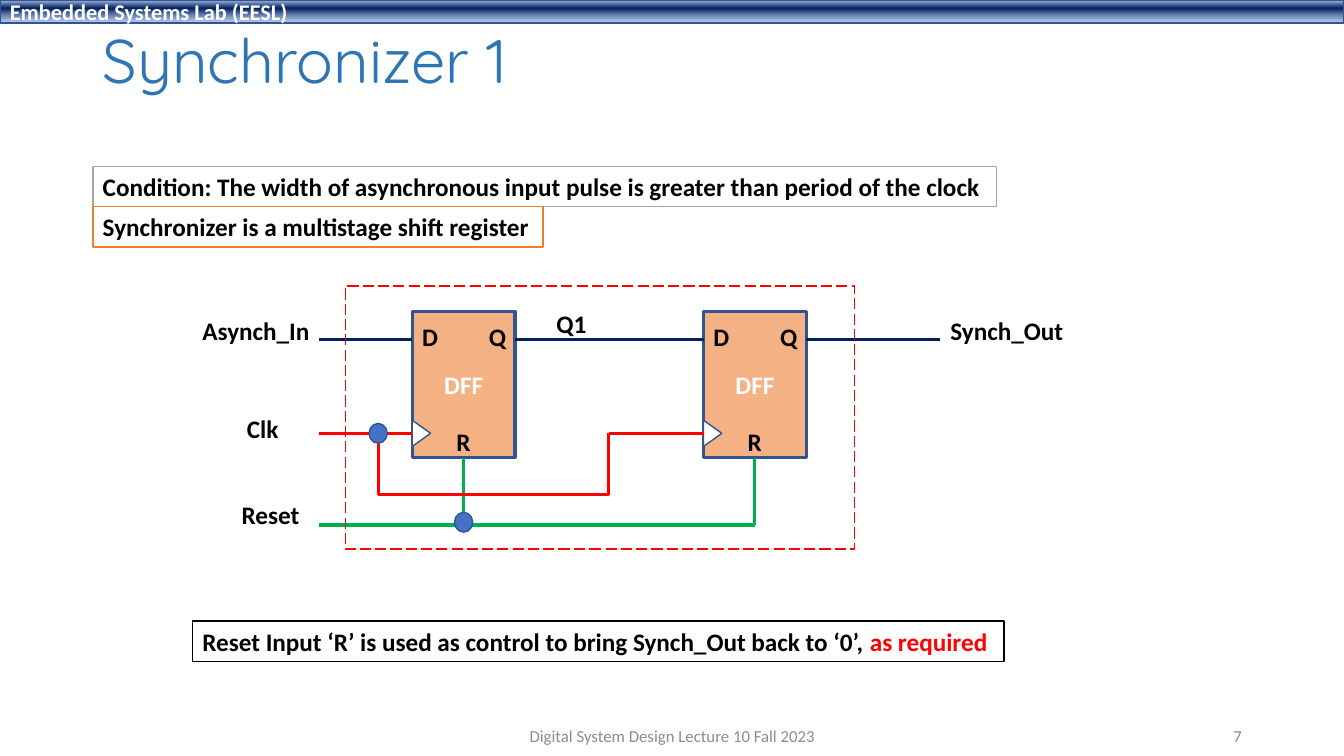
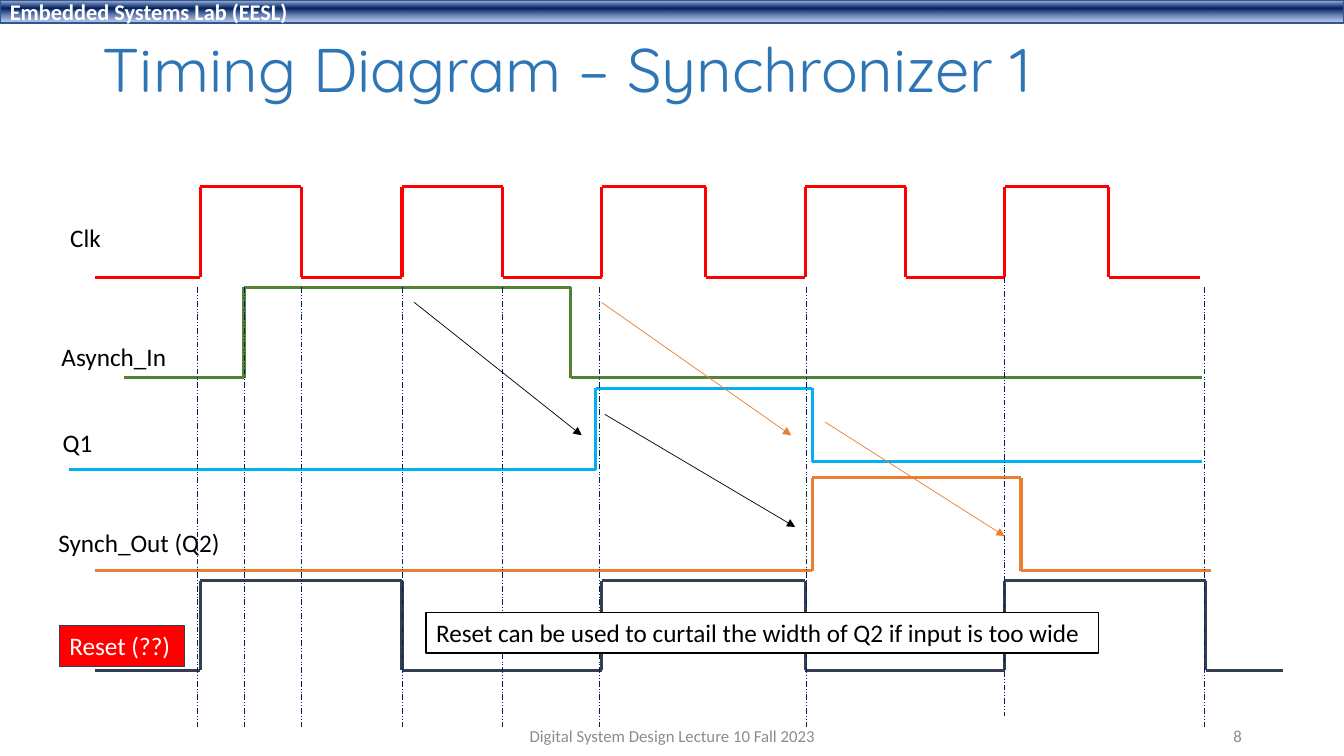
from dataclasses import dataclass
from itertools import cycle, pairwise

from lxml.etree import SubElement
from pptx import Presentation
from pptx.dml.color import RGBColor
from pptx.enum.dml import MSO_LINE
from pptx.enum.shapes import MSO_CONNECTOR, MSO_SHAPE
from pptx.enum.text import MSO_ANCHOR, PP_ALIGN
from pptx.oxml.ns import qn
from pptx.util import Cm, Pt


@dataclass(frozen=True)
class Theme:
    body_font: str = "Calibri"
    title_font: str = "Quicksand"
    title_size: int = 44
    band_size: int = 16
    body_size: int = 18
    footer_size: int = 12
    thick: float = 2.25
    thin: float = 0.5
    title: str = "2E75B6"
    footer: str = "8C8C8C"
    black: str = "000000"
    white: str = "FFFFFF"
    red: str = "FF0000"
    navy: str = "002060"
    outline: str = "325491"
    blue: str = "4472C4"
    gray: str = "A5A5A5"
    orange: str = "ED7D31"
    peach: str = "F4B183"
    reset_green: str = "00B050"
    input_green: str = "548235"
    sky: str = "00B0F0"
    slate: str = "333F50"
    band_stops: tuple = ((2, "ABC0E4", 100), (38, "002060", 100), (93, "7E9ED6", 64))


T = Theme()


def add_box(s, x, y, w, h, text="", kind=None, fill=None, line=None, width=1,
            color=T.black, size=T.body_size, bold=False, font=T.body_font,
            align=PP_ALIGN.LEFT, anchor=MSO_ANCHOR.TOP):
    at = Cm(x), Cm(y), Cm(w), Cm(h)
    sp = s.shapes.add_shape(kind, *at) if kind else s.shapes.add_textbox(*at)
    sp.shadow.inherit = False
    if fill:
        sp.fill.solid()
        sp.fill.fore_color.rgb = RGBColor.from_string(fill)
    else:
        sp.fill.background()
    if line:
        sp.line.color.rgb = RGBColor.from_string(line)
        sp.line.width = Pt(width)
    else:
        sp.line.fill.background()
    if text:
        tf = sp.text_frame
        tf.word_wrap = True
        tf.vertical_anchor = anchor
        p = tf.paragraphs[0]
        p.text = text
        p.alignment = align
        p.font.name = font
        p.font.size = Pt(size)
        p.font.bold = bold
        p.font.color.rgb = RGBColor.from_string(color)
    return sp


def add_path(s, points, color, width=T.thick, dash=None, arrow=False):
    for (x1, y1), (x2, y2) in pairwise(points):
        c = s.shapes.add_connector(MSO_CONNECTOR.STRAIGHT, Cm(x1), Cm(y1), Cm(x2), Cm(y2))
        c.line.color.rgb = RGBColor.from_string(color)
        c.line.width = Pt(width)
        if dash:
            c.line.dash_style = dash
        if arrow:
            SubElement(c.element.spPr.find(qn("a:ln")), qn("a:tailEnd"), type="triangle")
        SubElement(c.element.spPr, qn("a:effectLst"))


prs = Presentation()
prs.slide_width, prs.slide_height = Cm(33.87), Cm(19.05)
RECT = MSO_SHAPE.RECTANGLE
MIDDLE = MSO_ANCHOR.MIDDLE
ROW = 1.02

slides = []
for number, title, title_h in ((7, "Synchronizer 1", 2.46),
                               (8, "Timing Diagram – Synchronizer 1", 2.9)):
    s = prs.slides.add_slide(prs.slide_layouts[6])
    band = add_box(s, 0, 0, 33.87, 0.58, "Embedded Systems Lab (EESL)", RECT,
                   line=T.outline, color=T.white, size=T.band_size, bold=True, anchor=MIDDLE)
    band.fill.gradient()
    band.fill.gradient_angle = 270
    stops = band.element.spPr.find(qn("a:gradFill")).find(qn("a:gsLst"))
    for stop in list(stops):
        stops.remove(stop)
    for pos, color, alpha in T.band_stops:
        gs = SubElement(stops, qn("a:gs"), pos=str(pos * 1000))
        clr = SubElement(gs, qn("a:srgbClr"), val=color)
        SubElement(clr, qn("a:alpha"), val=str(alpha * 1000))
    sp = add_box(s, 2.34, 0.38, 29.21, title_h, title, color=T.title,
                 size=T.title_size, font=T.title_font, anchor=MIDDLE)
    sp.text_frame.paragraphs[0].line_spacing = 0.9
    for x, w, text, align in (
            (11.23, 11.43, "Digital System Design Lecture 10 Fall 2023", PP_ALIGN.CENTER),
            (23.93, 7.62, str(number), PP_ALIGN.RIGHT)):
        add_box(s, x, 18.02, w, ROW, text, color=T.footer, size=T.footer_size,
                align=align, anchor=MIDDLE)
    slides.append(s)
circuit, timing = slides

for y, w, line, text in (
        (4.19, 22.78, T.gray,
         "Condition: The width of asynchronous input pulse is greater than period of the clock"),
        (5.21, 11.35, T.orange, "Synchronizer is a multistage shift register")):
    add_box(circuit, 2.34, y, w, ROW, text, RECT, T.white, line, bold=True)

DATA_Y, CLK_Y, LOOP_Y, RESET_Y = 8.56, 10.92, 12.47, 13.23
FF_TOP, FF_W, FF_H = 7.85, 2.59, 3.68
FF1, FF2 = 10.39, 17.73
IN_X, OUT_X, CLK_TAP, LOOP_X = 8.03, 23.7, 9.53, 15.34
FF_BOTTOM = FF_TOP + FF_H
R1, R2 = FF1 + FF_W / 2, FF2 + FF_W / 2

for x in (FF1, FF2):
    add_box(circuit, x, FF_TOP, FF_W, FF_H, "DFF", RECT, T.peach, T.outline, T.thick,
            color=T.white, bold=True, align=PP_ALIGN.CENTER, anchor=MIDDLE)
    sp = add_box(circuit, x - 0.1, CLK_Y - 0.23, 0.66, 0.46, kind=MSO_SHAPE.ISOSCELES_TRIANGLE,
                 fill=T.white, line=T.outline)
    sp.rotation = 90
    for dx, y, pin in ((0, 7.98, "D"), (1.68, 7.98, "Q"), (0.86, 10.62, "R")):
        add_box(circuit, x + dx, y, 1.2, ROW, pin, bold=True)

for points, color in (
        (((IN_X, DATA_Y), (FF1, DATA_Y)), T.navy),
        (((FF1 + FF_W, DATA_Y), (FF2, DATA_Y)), T.navy),
        (((FF2 + FF_W, DATA_Y), (OUT_X, DATA_Y)), T.navy),
        (((IN_X, RESET_Y), (R2, RESET_Y), (R2, FF_BOTTOM)), T.reset_green),
        (((R1, FF_BOTTOM), (R1, RESET_Y)), T.reset_green),
        (((IN_X, CLK_Y), (FF1, CLK_Y)), T.red),
        (((FF2, CLK_Y), (LOOP_X, CLK_Y), (LOOP_X, LOOP_Y),
          (CLK_TAP, LOOP_Y), (CLK_TAP, CLK_Y)), T.red)):
    add_path(circuit, points, color)

for x, y, text in ((4.85, 7.82, "Asynch_In"), (5.97, 10.29, "Clk"), (5.84, 12.47, "Reset"),
                   (13.77, 7.65, "Q1"), (OUT_X, 7.82, "Synch_Out")):
    add_box(circuit, x, y, 3.6, ROW, text, bold=True)

frame = add_box(circuit, 8.71, 7.21, 12.83, 6.63, kind=RECT, line=T.red)
frame.line.dash_style = MSO_LINE.LONG_DASH
for x, y in ((R1, 13.16), (CLK_TAP, CLK_Y)):
    add_box(circuit, x - 0.23, y - 0.25, 0.46, 0.5, kind=MSO_SHAPE.OVAL,
            fill=T.blue, line=T.outline)

note = add_box(circuit, 4.85, 15.65, 20.45, ROW,
               "Reset Input ‘R’ is used as control to bring Synch_Out back to ‘0’, ",
               RECT, T.white, T.black, bold=True)
r = note.text_frame.paragraphs[0].add_run()
r.text = "as required"
r.font.color.rgb = RGBColor.from_string(T.red)

clk_edges = (5.05, 7.59, 10.13, 12.67, 15.16, 17.78, 20.29, 22.83, 25.32, 27.94)
for start, edges, end, levels, color in (
        (2.39, clk_edges, 30.25, (6.99, 4.7), T.red),
        (3.12, (6.15, 14.38), 30.3, (9.52, 7.24), T.input_green),
        (2.39, (20.47, 25.73), 30.51, (14.38, 12.04), T.orange),
        (2.39, (*clk_edges[::2], 30.38), 32.33, (16.89, 14.63), T.slate),
        (1.75, (15.01, 20.47), 30.3, (11.84, 9.78, 11.63), T.sky)):
    points = []
    for (x1, x2), y in zip(pairwise((start, *edges, end)), cycle(levels)):
        points += [(x1, y), (x2, y)]
    add_path(timing, points, color)

add_box(timing, 1.5, 15.77, 3.15, ROW, "Reset (??)", RECT, T.red, T.slate, 0.75, color=T.white)
for x, y, text in ((1.52, 5.49, "Clk"), (1.3, 8.48, "Asynch_In"),
                   (1.33, 10.64, "Q1"), (1.22, 13.16, "Synch_Out (Q2)")):
    add_box(timing, x, y, 5, ROW, text)

for x in (4.98, 6.15, 7.59, 10.13, 12.65, 15.11, 20.32, 25.32, 30.35):
    top, bottom = (6.99, 18.03) if x == 25.32 else (7.24, 18.31)
    add_path(timing, ((x, top), (x, bottom)), T.navy, T.thin, MSO_LINE.DASH_DOT_DOT)

for start, end, color in (((10.44, 7.62), (14.66, 10.97), T.black),
                          ((15.16, 7.62), (19.94, 10.97), T.orange),
                          ((15.24, 10.44), (20.04, 13.28), T.black),
                          ((20.8, 10.64), (25.32, 13.51), T.orange)):
    add_path(timing, (start, end), color, T.thin, arrow=True)

add_box(timing, 10.74, 15.44, 16.94, ROW,
        "Reset can be used to curtail the width of Q2 if input is too wide",
        RECT, T.white, T.black)

prs.save("out.pptx")
